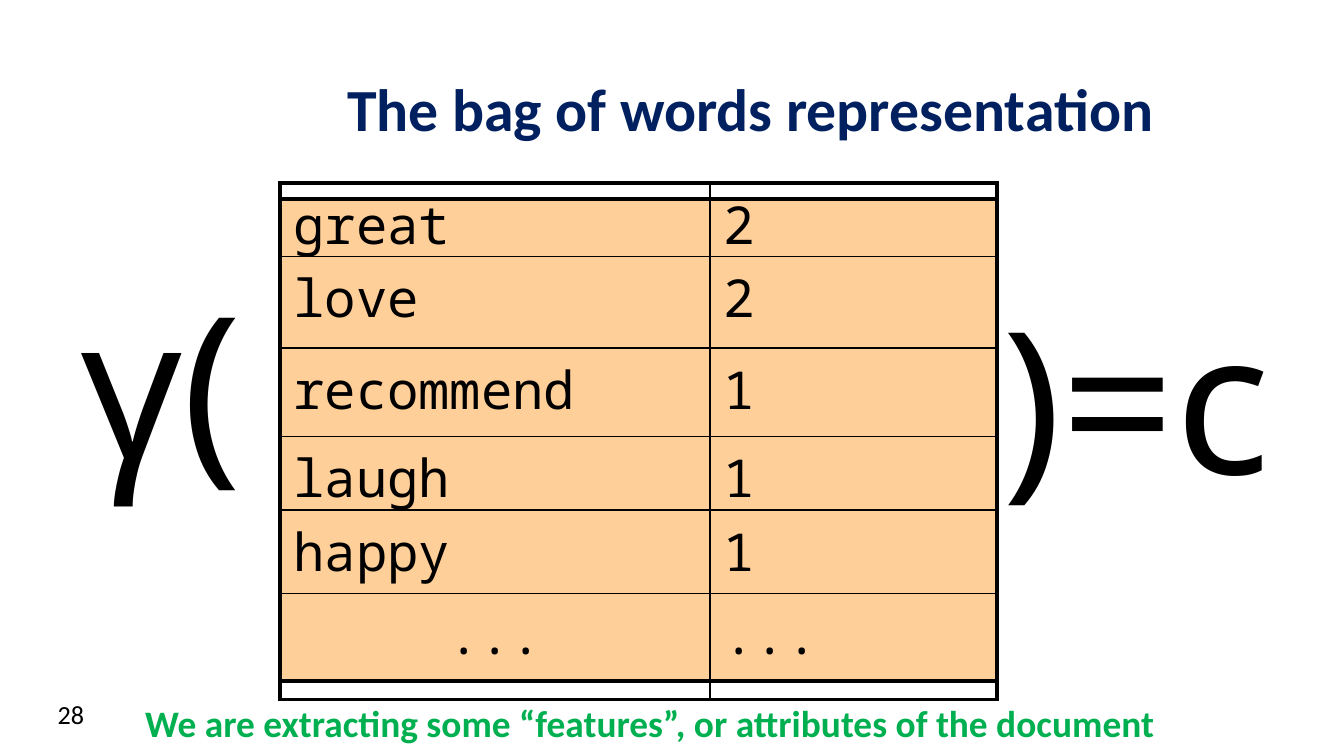
from collections import namedtuple
from dataclasses import dataclass

from lxml.etree import SubElement
from pptx import Presentation
from pptx.dml.color import RGBColor
from pptx.enum.shapes import MSO_SHAPE
from pptx.enum.text import MSO_ANCHOR, PP_ALIGN
from pptx.oxml.ns import qn
from pptx.util import Pt

Box = namedtuple("Box", "left top width height")


@dataclass(frozen=True)
class Theme:
    ink: str = "000000"
    navy: str = "002060"
    green: str = "00B050"
    peach: str = "FFCF99"
    heading_font: str = "Calibri"
    formula_font: str = "Noto Sans"
    word_font: str = "Noto Sans Mono"
    title_size: float = 32
    formula_size: float = 106
    word_size: float = 28
    caption_size: float = 20
    number_size: float = 14
    thick: float = 2.25
    thin: float = 1


THEME = Theme()
TITLE_STYLE = {"name": THEME.heading_font, "size": Pt(THEME.title_size), "bold": True}
FORMULA_STYLE = {"name": THEME.formula_font, "size": Pt(THEME.formula_size)}
WORD_STYLE = {"name": THEME.word_font, "size": Pt(THEME.word_size)}
CAPTION_STYLE = {"name": THEME.heading_font, "size": Pt(THEME.caption_size), "bold": True}
NUMBER_STYLE = {"name": THEME.heading_font, "size": Pt(THEME.number_size)}

WORD_COUNTS = [("great", "2"), ("love", "2"), ("recommend", "1"),
               ("laugh", "1"), ("happy", "1"), ("...", "...")]
ROW_HEIGHTS = [38.9, 49, 47.5, 38.9, 44.6, 56.9]
COLUMN_WIDTHS = [230.4, 153.6]


def in_points(box):
    return [Pt(length) for length in box]


def write(frame, text, style, color=THEME.ink, align=PP_ALIGN.LEFT):
    paragraph = frame.paragraphs[0]
    paragraph.alignment = align
    run = paragraph.add_run()
    run.text = text
    for attribute, value in style.items():
        setattr(run.font, attribute, value)
    run.font.color.rgb = RGBColor.from_string(color)


def add_label(slide, box, text, style, color=THEME.ink, align=PP_ALIGN.LEFT,
              anchor=MSO_ANCHOR.TOP, wrap=True):
    frame = slide.shapes.add_textbox(*in_points(box)).text_frame
    frame.word_wrap = wrap
    frame.vertical_anchor = anchor
    write(frame, text, style, color, align)


def set_borders(cell, widths):
    """Draw the left, right, top and bottom edges, ahead of the cell's fill."""
    properties = cell._tc.get_or_add_tcPr()
    for position, (side, width) in enumerate(widths.items()):
        edge = SubElement(properties, qn(f"a:{side}"), w=str(Pt(width)))
        fill = SubElement(edge, qn("a:solidFill"))
        SubElement(fill, qn("a:srgbClr"), val=THEME.ink)
        properties.insert(position, edge)


def add_word_table(slide, box):
    # Peach panel, inset from the top and bottom of the table
    margin = 8.7
    panel_box = Box(box.left, box.top + margin, box.width, box.height - 2 * margin)
    panel = slide.shapes.add_shape(MSO_SHAPE.RECTANGLE, *in_points(panel_box))
    panel.shadow.inherit = False
    panel.fill.solid()
    panel.fill.fore_color.rgb = RGBColor.from_string(THEME.peach)
    panel.line.color.rgb = RGBColor.from_string(THEME.ink)
    panel.line.width = Pt(THEME.thick)

    # Word counts, on see-through cells
    rows, columns = len(WORD_COUNTS), len(COLUMN_WIDTHS)
    table = slide.shapes.add_table(rows, columns, *in_points(box)).table
    table.first_row = table.horz_banding = False
    for column, width in zip(table.columns, COLUMN_WIDTHS):
        column.width = Pt(width)
    for row, height in zip(table.rows, ROW_HEIGHTS):
        row.height = Pt(height)
    for r, entries in enumerate(WORD_COUNTS):
        for c, text in enumerate(entries):
            cell = table.cell(r, c)
            cell.fill.background()
            cell.margin_top = cell.margin_bottom = Pt(2.9)
            centred = r == rows - 1 and c == 0
            write(cell.text_frame, text, WORD_STYLE,
                  align=PP_ALIGN.CENTER if centred else PP_ALIGN.LEFT)
            outer = {"lnL": c == 0, "lnR": c == columns - 1,
                     "lnT": r == 0, "lnB": r == rows - 1}
            set_borders(cell, {side: THEME.thick if edge else THEME.thin
                               for side, edge in outer.items()})


def add_formula(slide, box):
    # Classifier applied to the table: γ( table )=c
    add_label(slide, Box(box.left, box.top, 108, 135.4), "γ(", FORMULA_STYLE)
    add_label(slide, Box(box.left + 494, box.top + 7.9, 189.4, 135.4), ")=c",
              FORMULA_STYLE, wrap=False)


def add_footer(slide, box):
    # Caption and slide number
    add_label(slide, Box(box.left + 46.8, box.top + 0.7, 581.8, 31.7),
              "We are extracting some “features”, or attributes of the document",
              CAPTION_STYLE, THEME.green)
    add_label(slide, Box(box.left, box.top, 156, 27.4), "28", NUMBER_STYLE)


def main():
    deck = Presentation()
    deck.slide_width, deck.slide_height = Pt(720), Pt(405)
    slide = deck.slides.add_slide(deck.slide_layouts[6])
    add_label(slide, Box(108, 22.3, 588.2, 58.3), "The bag of words representation",
              TITLE_STYLE, THEME.navy, PP_ALIGN.CENTER, MSO_ANCHOR.BOTTOM)
    add_word_table(slide, Box(150, 98, 384, sum(ROW_HEIGHTS)))
    add_formula(slide, Box(36, 136.8, 683.4, 143.3))
    add_footer(slide, Box(23.8, 370.8, 628.6, 32.4))
    deck.save("out.pptx")


if __name__ == "__main__":
    main()
